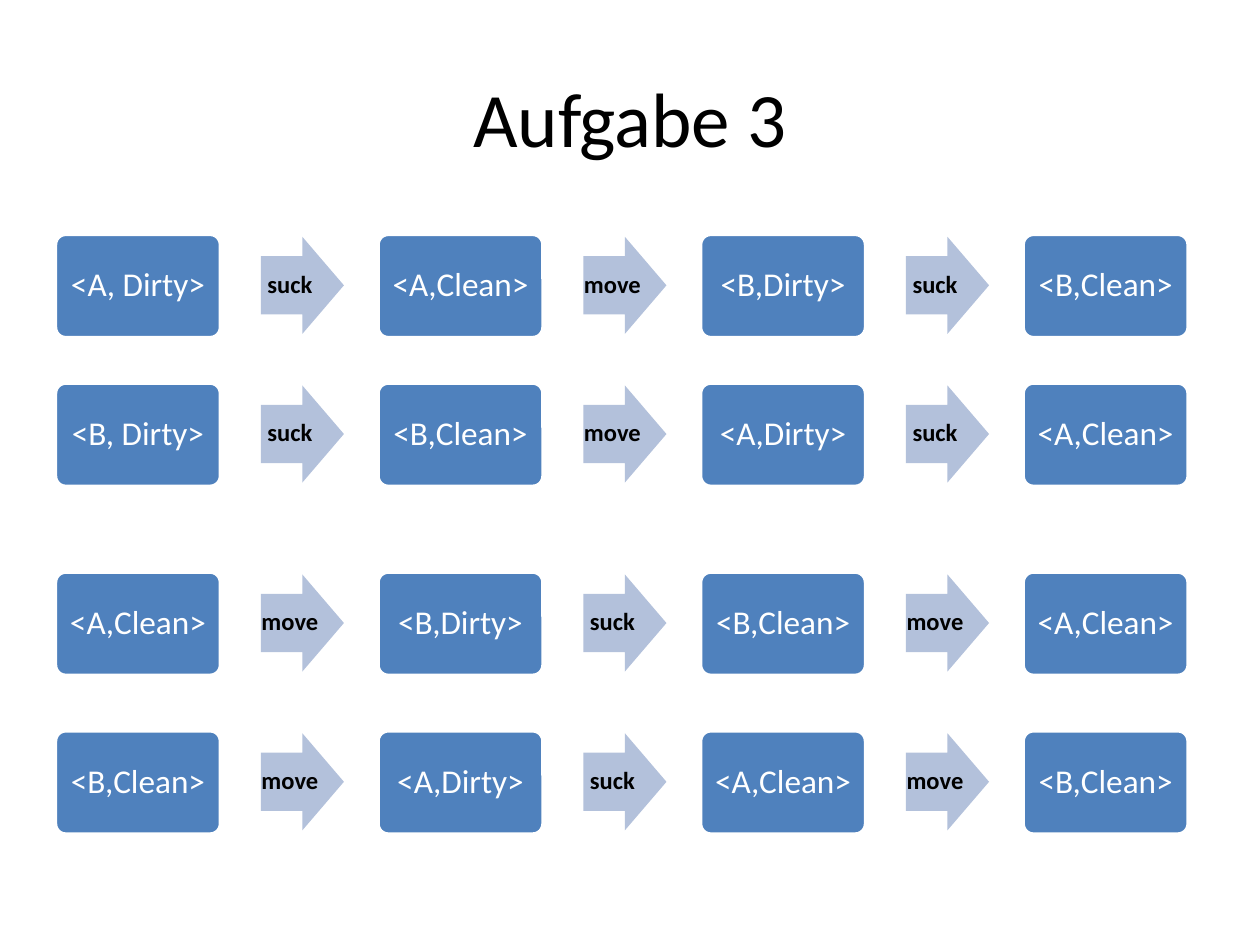
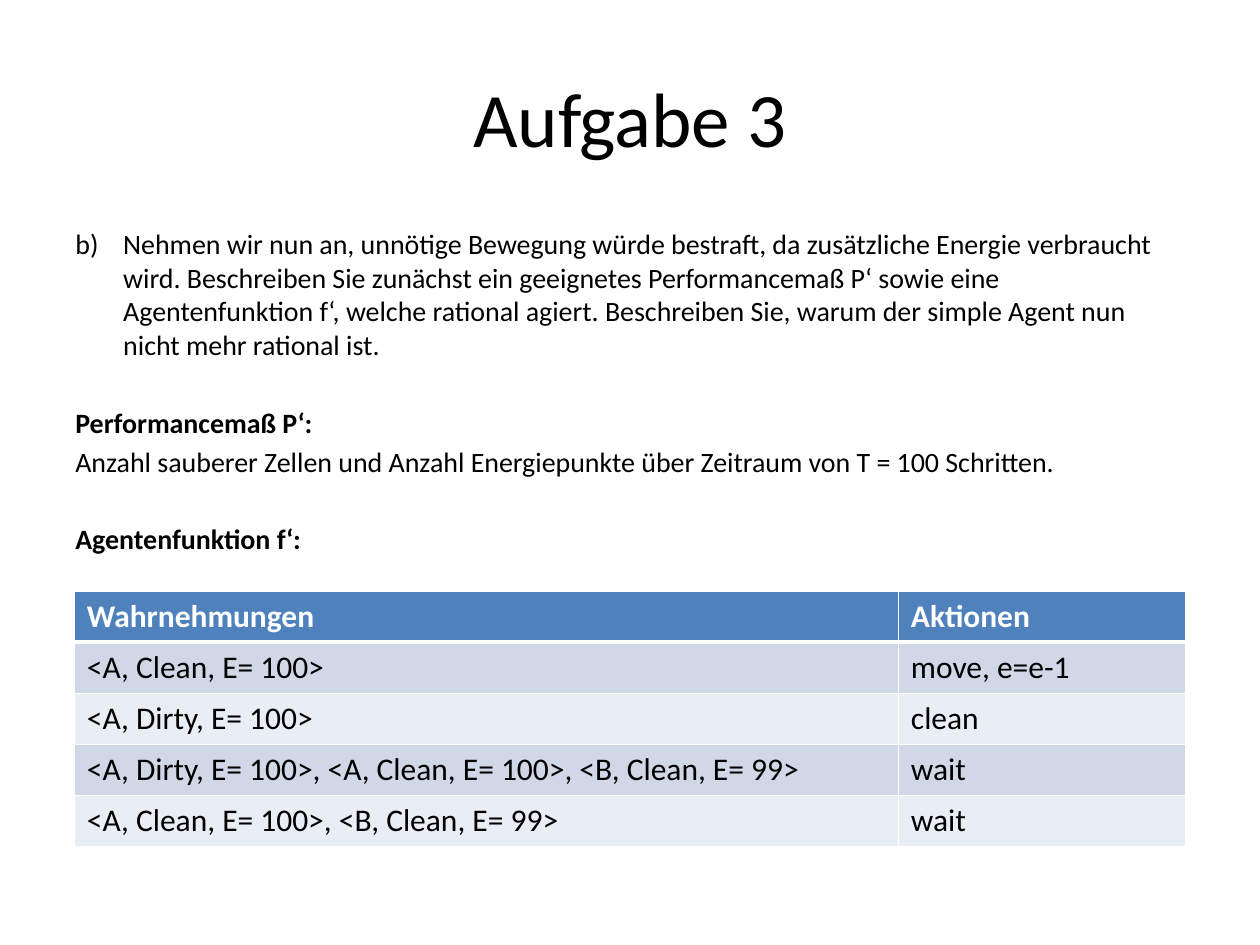
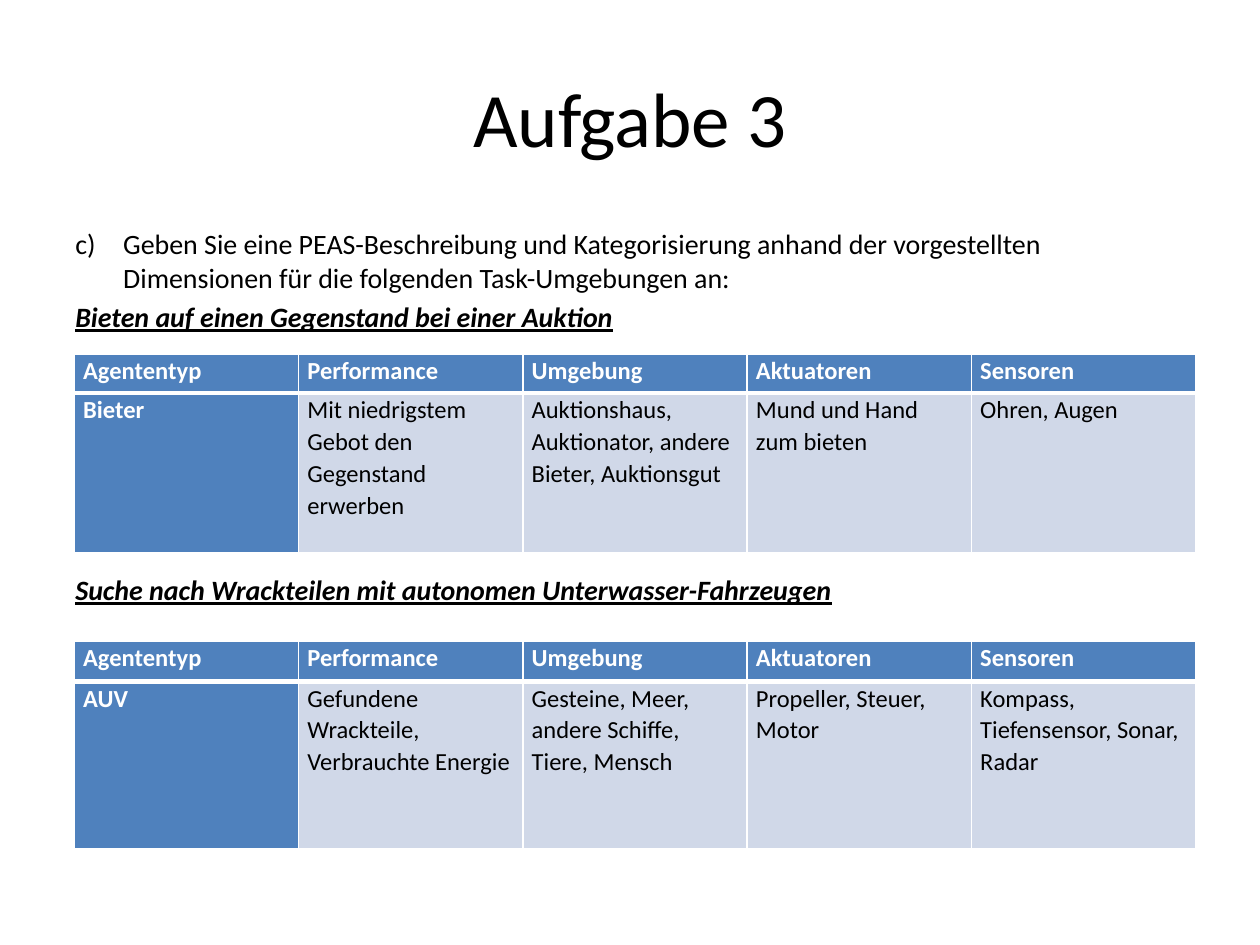
from lxml.etree import SubElement
from pptx import Presentation
from pptx.dml.color import RGBColor
from pptx.enum.shapes import MSO_SHAPE
from pptx.enum.text import MSO_ANCHOR, PP_ALIGN
from pptx.oxml.ns import qn
from pptx.util import Inches, Pt

BLACK = RGBColor(0x00, 0x00, 0x00)
WHITE = RGBColor(0xFF, 0xFF, 0xFF)
BLUE = RGBColor(0x4F, 0x81, 0xBD)
ARROW_BLUE = RGBColor(0xB3, 0xC1, 0xDB)
BANDS = [RGBColor(0xD0, 0xD8, 0xE8), RGBColor(0xE9, 0xED, 0xF4)]
FONT = "Calibri"

TITLE = "Aufgabe 3"
TITLE_BOX = (0.5, 0.3, 9, 1.25)
BODY_BOX = (0.5, 1.75, 9, 4.95)

STEP_PITCH = 2.56
STATE_SIZE = (1.31, 0.82)
ARROW_SIZE = (0.66, 0.77)
ARROW_OFFSET = (1.63, 0.02)

SEQUENCES = [
    (1.86, ["<A, Dirty>", "<A,Clean>", "<B,Dirty>", "<B,Clean>"], ["suck", "move", "suck"]),
    (3.04, ["<B, Dirty>", "<B,Clean>", "<A,Dirty>", "<A,Clean>"], ["suck", "move", "suck"]),
    (4.54, ["<A,Clean>", "<B,Dirty>", "<B,Clean>", "<A,Clean>"], ["move", "suck", "move"]),
    (5.8, ["<B,Clean>", "<A,Dirty>", "<A,Clean>", "<B,Clean>"], ["move", "suck", "move"]),
]

AGENT_FUNCTION = [
    ["Wahrnehmungen", "Aktionen"],
    ["<A, Clean, E= 100>", "move, e=e-1"],
    ["<A, Dirty, E= 100>", "clean"],
    ["<A, Dirty, E= 100>, <A, Clean, E= 100>, <B, Clean, E= 99>", "wait"],
    ["<A, Clean, E= 100>, <B, Clean, E= 99>", "wait"],
]

PEAS_HEADER = ["Agententyp", "Performance", "Umgebung", "Aktuatoren", "Sensoren"]
BIDDER = ["Bieter", "Mit niedrigstem Gebot den Gegenstand erwerben",
          "Auktionshaus, Auktionator, andere Bieter, Auktionsgut",
          "Mund und Hand zum bieten", "Ohren, Augen"]
AUV = ["AUV", "Gefundene Wrackteile, Verbrauchte Energie",
       "Gesteine, Meer, andere Schiffe, Tiere, Mensch",
       "Propeller, Steuer, Motor", "Kompass, Tiefensensor, Sonar, Radar"]


def write(paragraph, text, size=16, color=BLACK, bold=False, italic=False,
          underline=False, align=PP_ALIGN.LEFT, before=0, line=1.0):
    paragraph.alignment = align
    paragraph.space_before = Pt(before)
    paragraph.line_spacing = line
    run = paragraph.add_run()
    run.text = text
    font = run.font
    font.name, font.size, font.color.rgb = FONT, Pt(size), color
    font.bold, font.italic, font.underline = bold, italic, underline


def number_paragraph(paragraph, start):
    properties = paragraph._p.get_or_add_pPr()
    properties.set("marL", str(Inches(0.38)))
    properties.set("indent", str(-Inches(0.38)))
    SubElement(properties, qn("a:buAutoNum"), type="alphaLcParenR", startAt=str(start))


def add_frame(slide, box, anchor):
    frame = slide.shapes.add_textbox(*map(Inches, box)).text_frame
    frame.word_wrap = True
    frame.vertical_anchor = anchor
    return frame


def add_titled_slide(deck):
    slide = deck.slides.add_slide(deck.slide_layouts[6])
    heading = add_frame(slide, TITLE_BOX, MSO_ANCHOR.MIDDLE)
    write(heading.paragraphs[0], TITLE, size=44, align=PP_ALIGN.CENTER)
    return slide


def add_task(slide, box, start, question, answers):
    body = add_frame(slide, box, MSO_ANCHOR.TOP)
    write(body.paragraphs[0], question, before=3.2)
    number_paragraph(body.paragraphs[0], start)
    for text, style in answers:
        write(body.add_paragraph(), text, **style)


def add_step(slide, kind, box, adjustments, fill, inset, text, **style):
    step = slide.shapes.add_shape(kind, *map(Inches, box))
    step.shadow.inherit = False
    for index, value in enumerate(adjustments):
        step.adjustments[index] = value
    step.fill.solid()
    step.fill.fore_color.rgb = fill
    frame = step.text_frame
    frame.word_wrap = True
    frame.vertical_anchor = MSO_ANCHOR.MIDDLE
    frame.margin_left = frame.margin_right = Inches(inset)
    frame.margin_top = frame.margin_bottom = Inches(inset)
    write(frame.paragraphs[0], text, align=PP_ALIGN.CENTER, line=0.9, **style)
    return step


def add_sequence(slide, left, top, states, actions):
    for index, state in enumerate(states):
        box = (left + index * STEP_PITCH, top, *STATE_SIZE)
        node = add_step(slide, MSO_SHAPE.ROUNDED_RECTANGLE, box, [0.1], BLUE, 0.08,
                        state, size=19, color=WHITE)
        node.line.color.rgb = WHITE
        node.line.width = Pt(2)
    for index, action in enumerate(actions):
        box = (left + index * STEP_PITCH + ARROW_OFFSET[0], top + ARROW_OFFSET[1], *ARROW_SIZE)
        arrow = add_step(slide, MSO_SHAPE.RIGHT_ARROW, box, [0.6, 0.5], ARROW_BLUE, 0,
                         action, size=14, bold=True)
        arrow.line.fill.background()


def add_borders(cell, top, bottom):
    properties = cell._tc.get_or_add_tcPr()
    for side, width in (("L", 1), ("R", 1), ("T", top), ("B", bottom)):
        border = SubElement(properties, qn(f"a:ln{side}"), w=str(Pt(width)))
        SubElement(SubElement(border, qn("a:solidFill")), qn("a:srgbClr"), val=str(WHITE))


def add_grid(slide, left, top, widths, heights, rows, label_column=False,
             margins=(0.1, 0.05), **style):
    table = slide.shapes.add_table(len(rows), len(widths), Inches(left), Inches(top),
                                   Inches(sum(widths)), Inches(sum(heights))).table
    for column, width in zip(table.columns, widths):
        column.width = Inches(width)
    for row, height in zip(table.rows, heights):
        row.height = Inches(height)
    for r, row in enumerate(rows):
        for c, text in enumerate(row):
            cell = table.cell(r, c)
            cell.margin_left = cell.margin_right = Inches(margins[0])
            cell.margin_top = cell.margin_bottom = Inches(margins[1])
            add_borders(cell, top=3 if r == 1 else 1, bottom=3 if r == 0 else 1)
            label = r == 0 or (label_column and c == 0)
            cell.fill.solid()
            cell.fill.fore_color.rgb = BLUE if label else BANDS[(r - 1) % 2]
            write(cell.text_frame.paragraphs[0], text, bold=label,
                  color=WHITE if label else BLACK, **style)


def add_peas(slide, left, top, heights, agent):
    add_grid(slide, left, top, [1.78] * len(PEAS_HEADER), heights, [PEAS_HEADER, agent],
             label_column=True, margins=(0.07, 0), size=14, line=1.07)


def build_sequences(deck):
    slide = add_titled_slide(deck)
    for top, states, actions in SEQUENCES:
        add_sequence(slide, 0.44, top, states, actions)


def build_agent_function(deck):
    slide = add_titled_slide(deck)
    section = dict(bold=True, before=25.2)
    add_task(slide, BODY_BOX, 2,
             "Nehmen wir nun an, unnötige Bewegung würde bestraft, da zusätzliche Energie "
             "verbraucht wird. Beschreiben Sie zunächst ein geeignetes Performancemaß P‘ sowie "
             "eine Agentenfunktion f‘, welche rational agiert. Beschreiben Sie, warum der simple "
             "Agent nun nicht mehr rational ist.",
             [("Performancemaß P‘:", section),
              ("Anzahl sauberer Zellen und Anzahl Energiepunkte über Zeitraum von "
               "T = 100 Schritten.", dict(before=3.2)),
              ("Agentenfunktion f‘:", section)])
    row_height = 2.03 / len(AGENT_FUNCTION)
    add_grid(slide, 0.59, 4.69, [6.54, 2.28], [row_height] * len(AGENT_FUNCTION),
             AGENT_FUNCTION, size=18)


def build_peas(deck):
    slide = add_titled_slide(deck)
    environment = dict(bold=True, italic=True, underline=True)
    add_task(slide, BODY_BOX, 3,
             "Geben Sie eine PEAS-Beschreibung und Kategorisierung anhand der vorgestellten "
             "Dimensionen für die folgenden Task-Umgebungen an:",
             [("Bieten auf einen Gegenstand bei einer Auktion", dict(environment, before=3.2)),
              ("Suche nach Wrackteilen mit autonomen Unterwasser-Fahrzeugen",
               dict(environment, before=137))])
    add_peas(slide, 0.59, 2.81, [0.31, 1.27], BIDDER)
    add_peas(slide, 0.59, 5.09, [0.32, 1.33], AUV)


def main():
    deck = Presentation()
    deck.slide_width, deck.slide_height = Inches(10), Inches(7.5)
    build_sequences(deck)
    build_agent_function(deck)
    build_peas(deck)
    deck.save("out.pptx")


if __name__ == "__main__":
    main()
